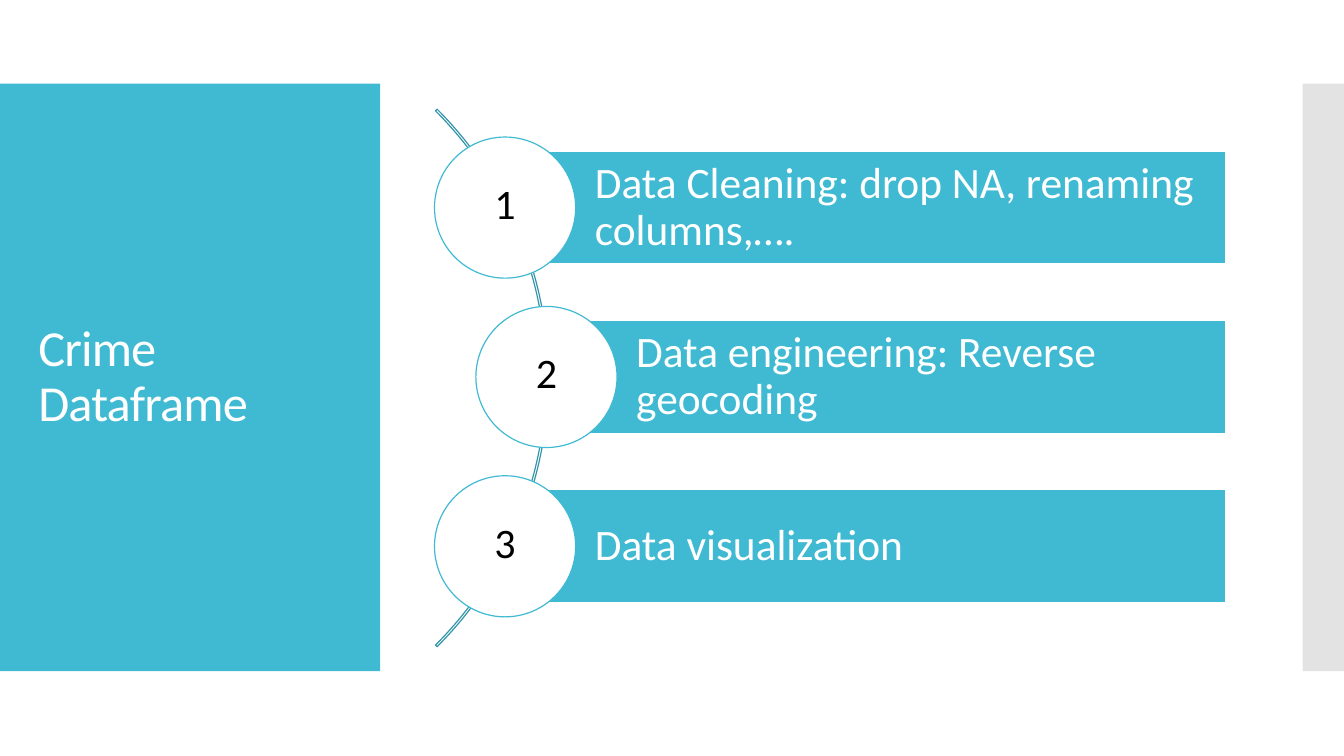
from lxml import etree
from pptx import Presentation
from pptx.dml.color import RGBColor
from pptx.enum.shapes import MSO_SHAPE as SHAPE
from pptx.enum.text import MSO_ANCHOR as ANCHOR, MSO_AUTO_SIZE as AUTO_SIZE, PP_ALIGN as ALIGN
from pptx.oxml.ns import qn
from pptx.util import Inches, Pt

COLORS = {"teal": "40BAD2", "arc": "3395A8", "gray": "C8C8C8",
          "white": "FFFFFF", "black": "000000"}

presentation = Presentation()
presentation.slide_width = Inches(13.33)
presentation.slide_height = Inches(7.5)
slide = presentation.slides.add_slide(presentation.slide_layouts[5])


def add_box(kind, left, top, width, height, fill=None, line=None):
    shape = slide.shapes.add_shape(
        kind, Inches(left), Inches(top), Inches(width), Inches(height))
    shape.shadow.inherit = False
    if fill:
        shape.fill.solid()
        shape.fill.fore_color.rgb = RGBColor.from_string(COLORS[fill])
    else:
        shape.fill.background()
    if line:
        shape.line.color.rgb = RGBColor.from_string(COLORS[line])
        shape.line.width = Pt(0.85)
    else:
        shape.line.fill.background()
    return shape


def write(shape, text, size, color, align=ALIGN.LEFT, spacing=0.9):
    frame = shape.text_frame
    frame.text = text
    frame.word_wrap = True
    frame.auto_size = AUTO_SIZE.NONE
    frame.vertical_anchor = ANCHOR.MIDDLE
    paragraph = frame.paragraphs[0]
    paragraph.alignment = align
    paragraph.line_spacing = spacing
    paragraph.font.name = "Calibri"
    paragraph.font.size = Pt(size)
    paragraph.font.color.rgb = RGBColor.from_string(COLORS[color])
    return frame


# Side panels, the right one half transparent
add_box(SHAPE.RECTANGLE, 0, 0.83, 3.77, 5.83, "teal")
right_panel = add_box(SHAPE.RECTANGLE, 12.92, 0.83, 0.41, 5.83, "gray")
panel_color = right_panel.fill._xPr.find(qn("a:solidFill"))[0]
etree.SubElement(panel_color, qn("a:alpha")).set("val", "50000")

# Title, in front of the left panel
title = slide.shapes.title
title.left, title.top = Inches(0.28), Inches(1.23)
title.width, title.height = Inches(3.22), Inches(5.03)
title_frame = write(title, "Crime Dataframe", 36, "white")
title_frame.paragraphs[0].runs[0].font._element.set("spc", "-60")
slide.shapes._spTree.append(title._element)

# Arc that links the steps
arc = add_box(SHAPE.BLOCK_ARC, -2.1, -0.02, 7.54, 7.54, line="arc")
for index, value in enumerate((189, 27, 0.003)):
    arc.adjustments[index] = value

# Steps: a bar with a numbered circle over its left end
steps = [("Data Cleaning: drop NA, renaming columns,….", 5.01),
         ("Data engineering: Reverse geocoding", 5.42),
         ("Data visualization", 5.01)]
bars_right = 12.16
bar_height = 1.12
diameter = 1.4
for index, (text, left) in enumerate(steps):
    top = 1.5 + 1.68 * index
    bar = add_box(SHAPE.RECTANGLE, left, top, bars_right - left, bar_height, "teal", "white")
    bar_frame = write(bar, text, 31, "white")
    bar_frame.margin_left = Inches(0.89)
    bar_frame.margin_right = Inches(0.09)

    circle = add_box(SHAPE.OVAL, left - diameter / 2, top + (bar_height - diameter) / 2,
                     diameter, diameter, "white", "teal")
    circle_frame = write(circle, str(index + 1), 30, "black", ALIGN.CENTER, 1)
    circle_frame.margin_top = 0
    circle_frame.margin_bottom = Inches(0.1)

presentation.save("out.pptx")
